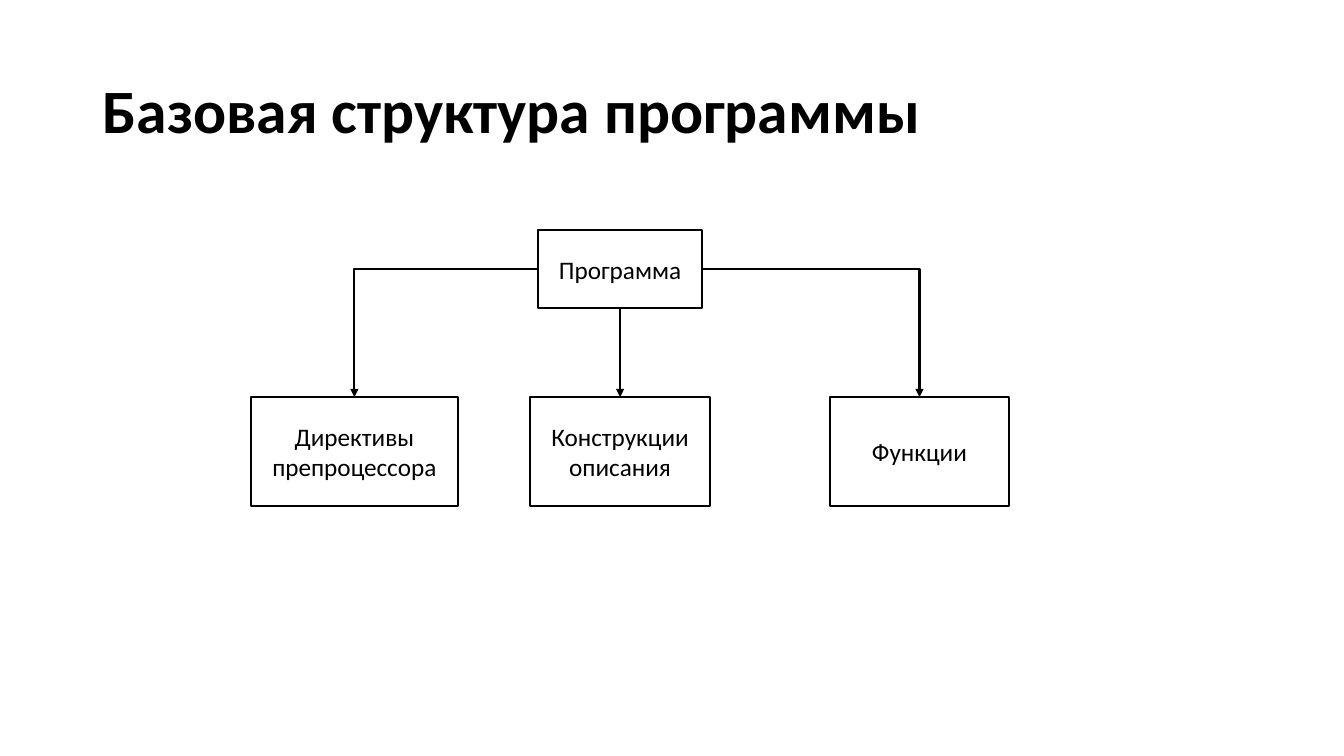
from dataclasses import dataclass

from lxml.etree import SubElement
from pptx import Presentation
from pptx.dml.color import RGBColor
from pptx.enum.shapes import MSO_CONNECTOR, MSO_SHAPE
from pptx.enum.text import MSO_ANCHOR, PP_ALIGN
from pptx.oxml.ns import qn
from pptx.shapes.autoshape import Shape
from pptx.slide import Slide
from pptx.text.text import TextFrame
from pptx.util import Inches, Pt

COLORS = {"ink": "000000", "paper": "FFFFFF"}
FONT = "Calibri"
LINE_WIDTH = Pt(1.5)

# Connection sites of a rectangle
TOP, LEFT, BOTTOM, RIGHT = range(4)


@dataclass(frozen=True)
class Box:
    lines: tuple[str, ...]
    left: float
    top: float
    width: float
    height: float


@dataclass(frozen=True)
class Branch:
    box: Box
    start_site: int


CHILD_TOP, CHILD_HEIGHT = 3.94, 1.08
PROGRAM = Box(("Программа",), 5.34, 2.28, 1.62, 0.78)
BRANCHES = (
    Branch(Box(("Директивы", "препроцессора"), 2.49, CHILD_TOP, 2.05, CHILD_HEIGHT), LEFT),
    Branch(Box(("Конструкции", "описания"), 5.26, CHILD_TOP, 1.78, CHILD_HEIGHT), BOTTOM),
    Branch(Box(("Функции",), 8.23, CHILD_TOP, 1.78, CHILD_HEIGHT), RIGHT),
)


def color(name: str) -> RGBColor:
    return RGBColor.from_string(COLORS[name])


def write_text(frame: TextFrame, lines: tuple[str, ...], *, size: float,
               bold: bool = False, align: PP_ALIGN = PP_ALIGN.LEFT,
               line_spacing: float = 1.0, wrap: bool = True) -> None:
    frame.word_wrap = wrap
    frame.vertical_anchor = MSO_ANCHOR.MIDDLE
    for index, line in enumerate(lines):
        paragraph = frame.add_paragraph() if index else frame.paragraphs[0]
        paragraph.alignment = align
        paragraph.line_spacing = line_spacing
        run = paragraph.add_run()
        run.text = line
        run.font.name = FONT
        run.font.size = Pt(size)
        run.font.bold = bold
        run.font.color.rgb = color("ink")


def draw_box(slide: Slide, box: Box) -> Shape:
    shape = slide.shapes.add_shape(
        MSO_SHAPE.RECTANGLE, Inches(box.left), Inches(box.top),
        Inches(box.width), Inches(box.height))
    shape.shadow.inherit = False
    shape.fill.solid()
    shape.fill.fore_color.rgb = color("paper")
    shape.line.color.rgb = color("ink")
    shape.line.width = LINE_WIDTH
    frame = shape.text_frame
    frame.margin_left = frame.margin_right = Inches(0.2)
    frame.margin_top = frame.margin_bottom = Inches(0.24)
    write_text(frame, box.lines, size=18, align=PP_ALIGN.CENTER, wrap=False)
    return shape


def draw_arrow(slide: Slide, start: Shape, start_site: int, end: Shape) -> None:
    straight = start_site == BOTTOM
    kind = MSO_CONNECTOR.STRAIGHT if straight else MSO_CONNECTOR.ELBOW
    connector = slide.shapes.add_connector(kind, 0, 0, 0, 0)
    connector.begin_connect(start, start_site)
    connector.end_connect(end, TOP)
    connector.line.color.rgb = color("ink")
    connector.line.width = LINE_WIDTH
    properties = connector._element.spPr
    if not straight:
        # One bend instead of two
        properties.find(qn("a:prstGeom")).set("prst", "bentConnector2")
    SubElement(properties.find(qn("a:ln")), qn("a:tailEnd"), type="triangle")
    SubElement(properties, qn("a:effectLst"))


def main() -> None:
    presentation = Presentation()
    presentation.slide_width = Inches(13.33)
    presentation.slide_height = Inches(7.5)
    slide = presentation.slides.add_slide(presentation.slide_layouts[6])

    # Title
    title = slide.shapes.add_textbox(Inches(0.92), Inches(0.4), Inches(11.5), Inches(1.45))
    write_text(title.text_frame, ("Базовая структура программы",),
               size=44, bold=True, line_spacing=0.9)

    # Program and its parts
    program = draw_box(slide, PROGRAM)
    for branch in BRANCHES:
        part = draw_box(slide, branch.box)
        draw_arrow(slide, program, branch.start_site, part)

    presentation.save("out.pptx")


if __name__ == "__main__":
    main()
